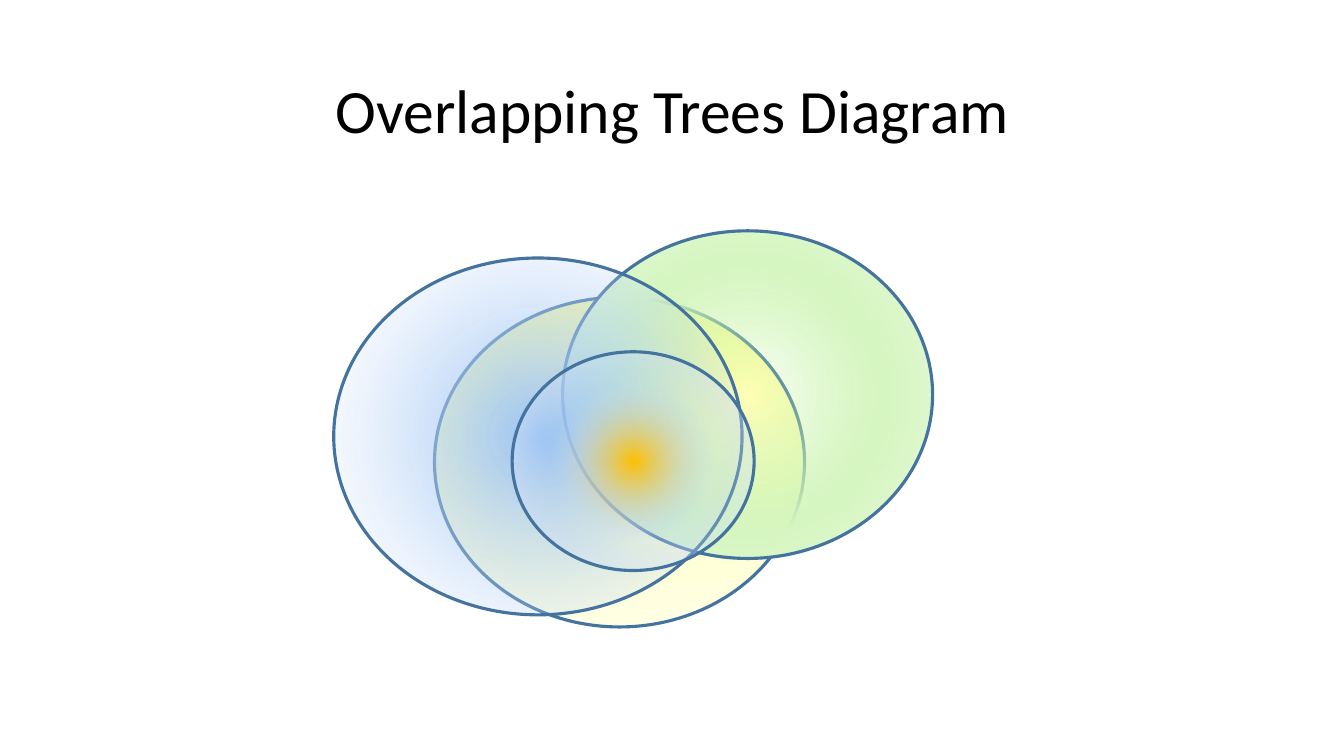
import dataclasses

import pptx
import pptx.dml.color
import pptx.enum.shapes
import pptx.enum.text
import pptx.oxml.ns
import pptx.util
from lxml import etree

Inches = pptx.util.Inches


@dataclasses.dataclass
class Theme:
    font: str = "Calibri"
    title: int = 44
    edge: float = 2.25
    ink: str = "000000"
    rim: str = "43739E"
    # gradient stops: percent, colour, alpha percent
    yellow: tuple = ((0, "FFFFA0", 100), (50, "FFFFC5", 100), (100, "FFFFE3", 100))
    green: tuple = ((0, "BEF297", 0), (56, "D5F6C0", 100), (100, "EAFAE0", 100))
    blue: tuple = ((0, "9AC3F5", 100), (89, "C2D8F8", 0), (100, "E1EBFB", 100))
    gold: tuple = ((0, "FFC000", 100), (50, "C2D8F8", 0), (100, "E1EBFB", 100))


theme = Theme()


def add(parent, tag, **attrs):
    """Append a DrawingML element with the given attributes."""
    node = etree.SubElement(parent, pptx.oxml.ns.qn("a:" + tag))
    for key, value in attrs.items():
        node.set(key, str(value))
    return node


def shade(shape, stops, radial):
    """Fill the shape with a radial or a top-down gradient."""
    shape.fill.gradient()
    grad = shape._element.spPr.find(pptx.oxml.ns.qn("a:gradFill"))
    for child in list(grad):
        grad.remove(child)
    group = add(grad, "gsLst")
    for place, tint, alpha in stops:
        color = add(add(group, "gs", pos=place * 1000), "srgbClr", val=tint)
        if alpha < 100:
            add(color, "alpha", val=alpha * 1000)
    if radial:
        add(add(grad, "path", path="circle"), "fillToRect",
            l=50000, t=50000, r=50000, b=50000)
    else:
        add(grad, "lin", ang=90 * 60000, scaled=0)


deck = pptx.Presentation()
deck.slide_width, deck.slide_height = Inches(13.33), Inches(7.5)
slide = deck.slides.add_slide(deck.slide_layouts[5])

title = slide.shapes.title
frame = {"left": 0.92, "top": 0.4, "width": 11.5, "height": 1.45}
for key, value in frame.items():
    setattr(title, key, Inches(value))
title.text_frame.text = "Overlapping Trees Diagram"
title.text_frame.vertical_anchor = pptx.enum.text.MSO_ANCHOR.MIDDLE
line = title.text_frame.paragraphs[0]
line.alignment = pptx.enum.text.PP_ALIGN.CENTER
line.line_spacing = 0.9
font = line.runs[0].font
for key, value in {"name": theme.font, "size": pptx.util.Pt(theme.title)}.items():
    setattr(font, key, value)
font.color.rgb = pptx.dml.color.RGBColor.from_string(theme.ink)

# left, top, width, height, gradient stops, radial; back to front
trees = [
    (4.31, 2.95, 3.67, 3.27, theme.yellow, False),
    (5.58, 2.29, 3.67, 3.25, theme.green, True),
    (3.31, 2.56, 4.05, 3.54, theme.blue, True),
    (5.08, 3.49, 2.4, 2.17, theme.gold, True),
]
for *box, stops, radial in trees:
    tree = slide.shapes.add_shape(
        pptx.enum.shapes.MSO_SHAPE.OVAL, *[Inches(size) for size in box])
    tree.shadow.inherit = False
    shade(tree, stops, radial)
    tree.line.color.rgb = pptx.dml.color.RGBColor.from_string(theme.rim)
    tree.line.width = pptx.util.Pt(theme.edge)

deck.save("out.pptx")
